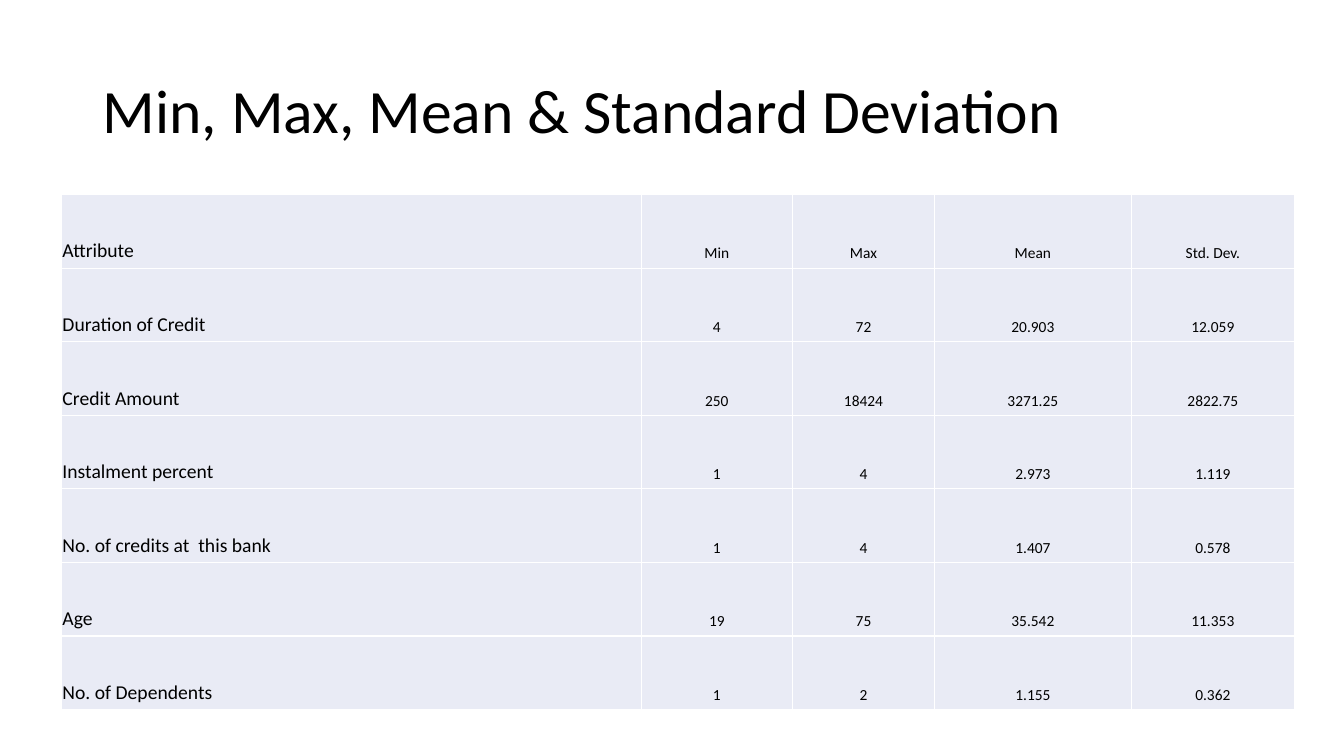
"""Build a slide with a table of summary statistics for credit attributes."""
from dataclasses import dataclass

from lxml.etree import SubElement
from pptx import Presentation
from pptx.dml.color import RGBColor
from pptx.enum.text import MSO_ANCHOR as Anchor, PP_ALIGN as Align
from pptx.oxml.ns import qn
from pptx.util import Inches, Pt

TITLE = "Min, Max, Mean & Standard Deviation"
STATISTICS = [
    ("Attribute", "Min", "Max", "Mean", "Std. Dev."),
    ("Duration of Credit", "4", "72", "20.903", "12.059"),
    ("Credit Amount", "250", "18424", "3271.25", "2822.75"),
    ("Instalment percent", "1", "4", "2.973", "1.119"),
    ("No. of credits at  this bank", "1", "4", "1.407", "0.578"),
    ("Age", "19", "75", "35.542", "11.353"),
    ("No. of Dependents", "1", "2", "1.155", "0.362"),
]
COLUMN_WIDTHS = (5.75, 1.5, 1.41, 1.95, 1.62)
TABLE_LEFT, TABLE_TOP, TABLE_HEIGHT = 0.61, 1.93, 5.11


@dataclass(frozen=True)
class Theme:
    font: str = "Calibri"
    text: str = "000000"
    cell: str = "E9EBF5"
    border: str = "FFFFFF"
    border_width: int = 1
    title_size: int = 44
    attribute_size: int = 14
    value_size: int = 11


theme = Theme()


def write(text_frame, text, size, align=Align.LEFT):
    text_frame.text = text
    paragraph = text_frame.paragraphs[0]
    paragraph.alignment = align
    font = paragraph.runs[0].font
    font.name, font.size = theme.font, Pt(size)
    font.color.rgb = RGBColor.from_string(theme.text)
    return paragraph


def add_borders(cell):
    properties = cell._tc.get_or_add_tcPr()
    for side in ("a:lnL", "a:lnR", "a:lnT", "a:lnB"):
        line = SubElement(properties, qn(side), w=str(Pt(theme.border_width)))
        fill = SubElement(line, qn("a:solidFill"))
        SubElement(fill, qn("a:srgbClr"), val=theme.border)


def format_cell(cell):
    cell.vertical_anchor = Anchor.BOTTOM
    cell.margin_left = cell.margin_right = cell.margin_top = Inches(0.01)
    cell.margin_bottom = Inches(0.05)
    add_borders(cell)
    cell.fill.solid()
    cell.fill.fore_color.rgb = RGBColor.from_string(theme.cell)


def add_title(slide):
    title = slide.shapes.add_textbox(Inches(0.92), Inches(0.4), Inches(11.5), Inches(1.45))
    title.text_frame.word_wrap = True
    title.text_frame.vertical_anchor = Anchor.MIDDLE
    write(title.text_frame, TITLE, theme.title_size).line_spacing = 0.9


def add_statistics(slide):
    table = slide.shapes.add_table(
        len(STATISTICS), len(COLUMN_WIDTHS), Inches(TABLE_LEFT), Inches(TABLE_TOP),
        Inches(sum(COLUMN_WIDTHS)), Inches(TABLE_HEIGHT)).table
    table.first_row = table.horz_banding = False
    for column, width in zip(table.columns, COLUMN_WIDTHS):
        column.width = Inches(width)
    for row, values in zip(table.rows, STATISTICS):
        for index, (cell, value) in enumerate(zip(row.cells, values)):
            format_cell(cell)
            if index == 0:
                write(cell.text_frame, value, theme.attribute_size)
            else:
                write(cell.text_frame, value, theme.value_size, Align.CENTER)


presentation = Presentation()
presentation.slide_width, presentation.slide_height = Inches(13.33), Inches(7.5)
slide = presentation.slides.add_slide(presentation.slide_layouts[6])
add_title(slide)
add_statistics(slide)
presentation.save("out.pptx")
